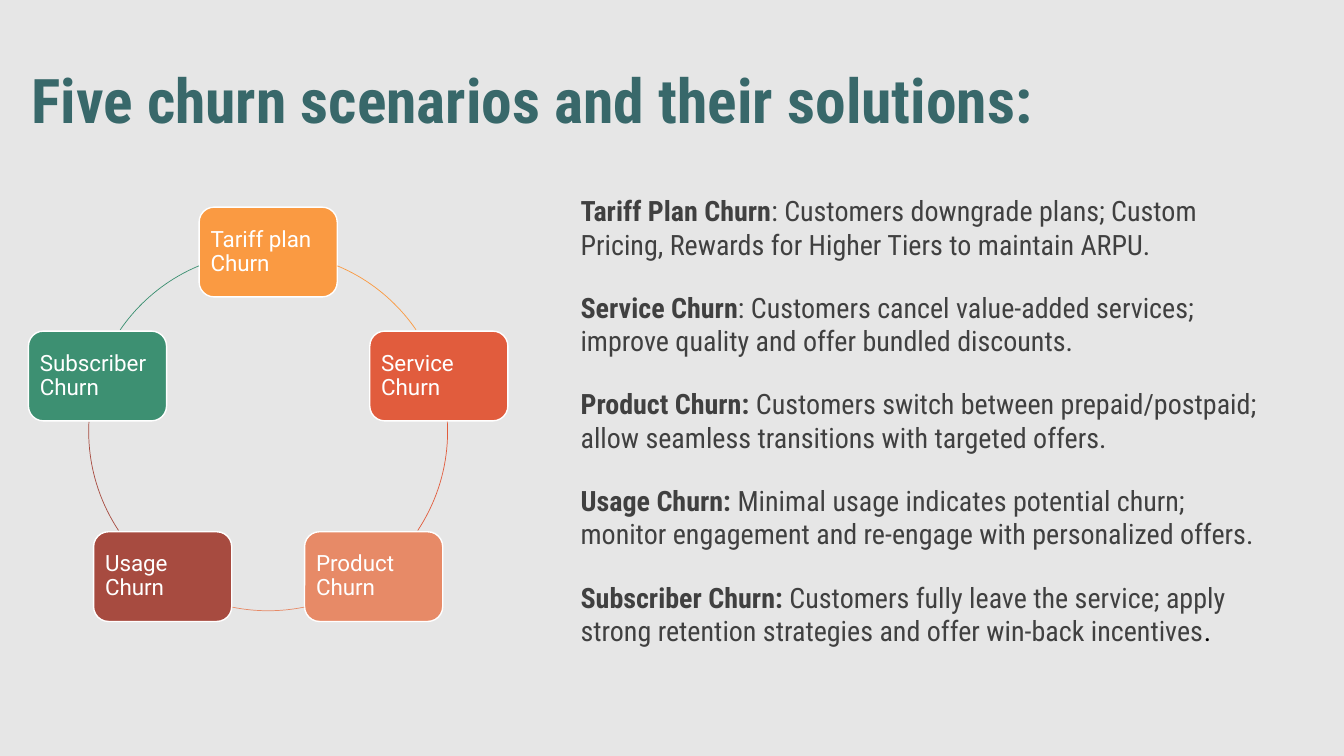
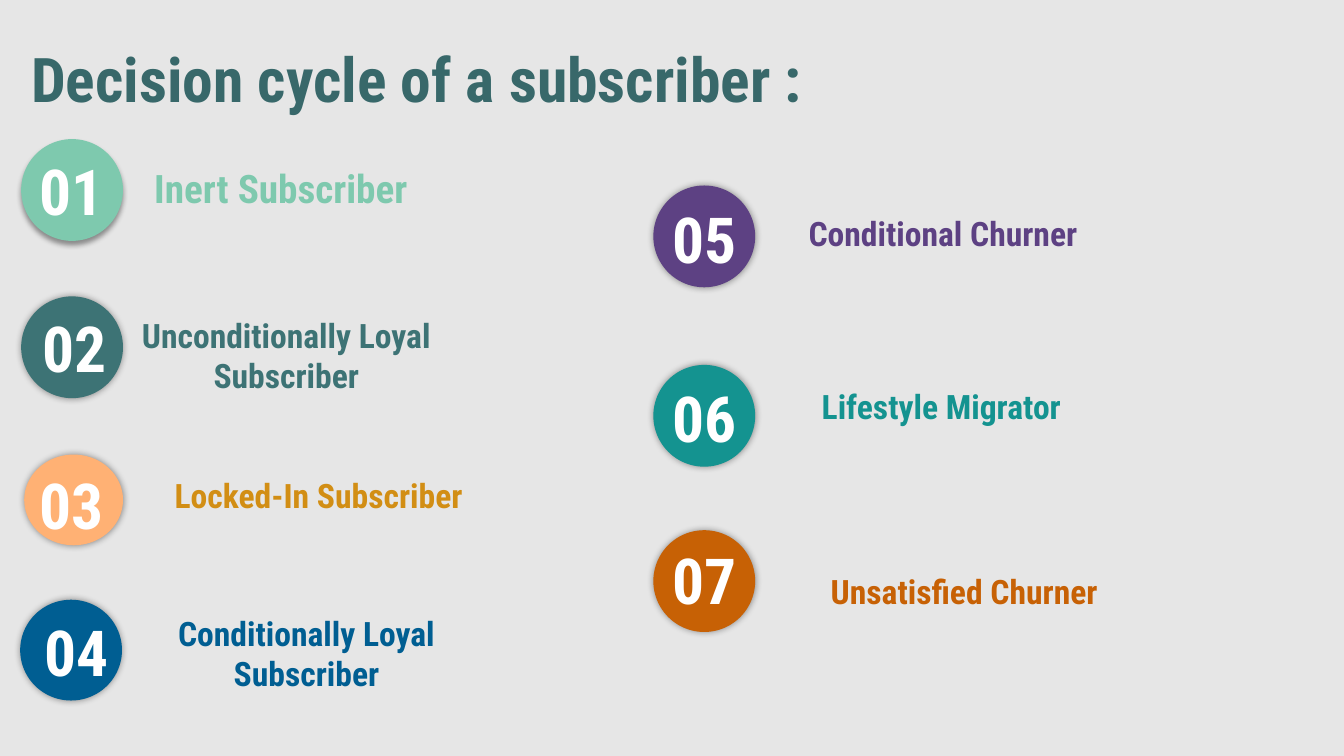
import math

from lxml import etree
from pptx import Presentation
from pptx.dml.color import RGBColor
from pptx.enum.shapes import MSO_SHAPE
from pptx.enum.text import MSO_ANCHOR, MSO_AUTO_SIZE, PP_ALIGN
from pptx.oxml.ns import qn
from pptx.util import Inches, Pt

ROUND, ARC, OVAL = MSO_SHAPE.ROUNDED_RECTANGLE, MSO_SHAPE.ARC, MSO_SHAPE.OVAL
LEFT, CENTER = PP_ALIGN.LEFT, PP_ALIGN.CENTER
MIDDLE, BOTTOM = MSO_ANCHOR.MIDDLE, MSO_ANCHOR.BOTTOM
FIXED = MSO_AUTO_SIZE.NONE

PAPER = RGBColor(0xE6, 0xE6, 0xE6)
WHITE = RGBColor(0xFF, 0xFF, 0xFF)
BLACK = RGBColor(0x00, 0x00, 0x00)
GRAY = RGBColor(0x40, 0x40, 0x40)
PINE = RGBColor(0x38, 0x68, 0x6A)
ORANGE = RGBColor(0xFA, 0x9A, 0x42)
RED = RGBColor(0xE1, 0x5C, 0x3D)
SALMON = RGBColor(0xE7, 0x8A, 0x67)
BRICK = RGBColor(0xA7, 0x4B, 0x40)
GREEN = RGBColor(0x3D, 0x90, 0x72)
MINT = RGBColor(0x7E, 0xC9, 0xAE)
SLATE = RGBColor(0x3D, 0x73, 0x75)
PEACH = RGBColor(0xFF, 0xB1, 0x74)
GOLD = RGBColor(0xD2, 0x8E, 0x14)
BLUE = RGBColor(0x00, 0x5E, 0x92)
PURPLE = RGBColor(0x5D, 0x41, 0x83)
TEAL = RGBColor(0x14, 0x93, 0x90)
RUST = RGBColor(0xC7, 0x61, 0x05)

BODY, HEAD = "Roboto", "Roboto Condensed"

prs = Presentation()
prs.slide_width, prs.slide_height = Inches(13.33), Inches(7.5)
paper = prs.slide_master.background.fill
paper.solid()
paper.fore_color.rgb = PAPER


def style(para, size, color, name=HEAD, bold=True, align=LEFT):
    """Align a paragraph and format all its runs."""
    para.alignment = align
    for run in para.runs:
        font = run.font
        font.name, font.size, font.bold = name, Pt(size), bold
        font.color.rgb = color


def write(slide, left, top, width, height, text, size, color, align):
    """Add a text box of bold headline text."""
    box = slide.shapes.add_textbox(
        Inches(left), Inches(top), Inches(width), Inches(height))
    frame = box.text_frame
    frame.word_wrap = True
    frame.margin_left = frame.margin_right = Inches(0.13)
    frame.margin_top = frame.margin_bottom = Inches(0.13)
    frame.text = text
    for para in frame.paragraphs:
        style(para, size, color, align=align)


# Titles
slides = []
for text, top in [("Five churn scenarios and their solutions:", 0.5),
                  ("Decision cycle of a subscriber :", 0.29)]:
    slide = prs.slides.add_slide(prs.slide_layouts[5])
    title = slide.shapes.title
    title.left, title.top = Inches(0.21), Inches(top)
    title.width, title.height = Inches(10.26), Inches(0.91)
    frame = title.text_frame
    frame.text = text
    frame.auto_size = FIXED
    frame.vertical_anchor = BOTTOM
    frame.paragraphs[0].line_spacing = 0.9
    style(frame.paragraphs[0], 44, PINE)
    slides.append(slide)
churn, cycle = slides

# Ring of scenarios: each node is followed by an arc, in degrees
MID_X, MID_Y, RADIUS = 2.66, 4.28, 1.78
NODE_W, NODE_H = 1.37, 0.89
nodes = [
    ("Tariff plan Churn", ORANGE, 292.7, 325.5),
    ("Service Churn", RED, 356.9, 33.5),
    ("Product Churn", SALMON, 78.4, 101.6),
    ("Usage Churn", BRICK, 146.5, 183.1),
    ("Subscriber Churn", GREEN, 214.5, 247.3),
]
for i, (text, color, start, end) in enumerate(nodes):
    angle = math.radians(72 * i - 90)
    mid_x = MID_X + RADIUS * math.cos(angle)
    mid_y = MID_Y + RADIUS * math.sin(angle)
    node = churn.shapes.add_shape(
        ROUND, Inches(mid_x - NODE_W / 2), Inches(mid_y - NODE_H / 2),
        Inches(NODE_W), Inches(NODE_H))
    node.shadow.inherit = False
    node.fill.solid()
    node.fill.fore_color.rgb = color
    node.line.color.rgb = WHITE
    node.line.width = Pt(1)
    frame = node.text_frame
    frame.word_wrap = True
    frame.vertical_anchor = MIDDLE
    frame.margin_left = frame.margin_right = Inches(0.07)
    frame.margin_top = frame.margin_bottom = Inches(0.07)
    frame.text = text
    frame.paragraphs[0].line_spacing = 0.9
    style(frame.paragraphs[0], 16, WHITE, BODY, False)

    arc = churn.shapes.add_shape(
        ARC, Inches(MID_X - RADIUS), Inches(MID_Y - RADIUS),
        Inches(2 * RADIUS), Inches(2 * RADIUS))
    arc.shadow.inherit = False
    arc.fill.background()
    arc.line.color.rgb = color
    arc.line.width = Pt(0.5)
    # An adjustment of 0.6 is one degree
    arc.adjustments[0] = start * 0.6
    arc.adjustments[1] = end * 0.6

# Solutions
notes = [
    ("Tariff Plan Churn", ": Customers downgrade plans; Custom Pricing, "
     "Rewards for Higher Tiers to maintain ARPU."),
    ("Service Churn", ": Customers cancel value-added services; "
     "improve quality and offer bundled discounts."),
    ("Product Churn: ", "Customers switch between prepaid/postpaid; "
     "allow seamless transitions with targeted offers."),
    ("Usage Churn: ", "Minimal usage indicates potential churn; "
     "monitor engagement and re-engage with personalized offers."),
    ("Subscriber Churn: ", "Customers fully leave the service; apply strong "
     "retention strategies and offer win-back incentives", "."),
]
box = churn.shapes.add_textbox(
    Inches(5.66), Inches(1.87), Inches(7.08), Inches(4.81))
frame = box.text_frame
frame.word_wrap = True
for i, parts in enumerate(notes):
    para = frame.add_paragraph() if i else frame.paragraphs[0]
    if i:
        para.space_before = Pt(21)
    for part in parts:
        para.add_run().text = part
    style(para, 20, GRAY, bold=False)
    para.runs[0].font.bold = True
para.runs[-1].font.color.rgb = BLACK

# Numbered circles: box, fill, shadow (blur, distance), number's corner
discs = [
    (0.21, 1.38, 1.01, 1.01, MINT, 4, 3, 0.08, 1.38),
    (0.21, 2.94, 1.01, 1.01, SLATE, 5, 0, 0.11, 2.94),
    (0.24, 4.51, 0.98, 0.9, PEACH, 5, 0, 0.08, 4.49),
    (0.2, 5.95, 1.01, 1, BLUE, 5, 0, 0.13, 5.95),
    (6.48, 1.84, 1.01, 1.01, PURPLE, 5, 0, 6.36, 1.86),
    (6.48, 3.62, 1.01, 1.01, TEAL, 5, 0, 6.36, 3.63),
    (6.48, 5.26, 1.01, 1.01, RUST, 5, 0, 6.36, 5.24),
]
for i, (left, top, width, height, color, blur, dist, num_x, num_y) in enumerate(
        discs, 1):
    disc = cycle.shapes.add_shape(
        OVAL, Inches(left), Inches(top), Inches(width), Inches(height))
    disc.fill.solid()
    disc.fill.fore_color.rgb = color
    disc.line.fill.background()
    disc.shadow.inherit = False
    effects = disc.element.spPr.find(qn("a:effectLst"))
    shadow = etree.SubElement(
        effects, qn("a:outerShdw"), blurRad=str(Pt(blur)), dist=str(Pt(dist)),
        dir="5400000", algn="ctr", rotWithShape="0")
    black = etree.SubElement(shadow, qn("a:srgbClr"), val="000000")
    etree.SubElement(black, qn("a:alpha"), val="40000")
    write(cycle, num_x, num_y, 1.25, 0.64, f"{i:02}", 45.3, WHITE, CENTER)

# Subscriber types
labels = [
    (1.4, 1.5, 3.23, "Inert Subscriber", 28, MINT, LEFT),
    (0.48, 2.99, 4.72, "Unconditionally Loyal\nSubscriber", 24, SLATE, CENTER),
    (1.17, 4.58, 3.98, "Locked-In Subscriber", 24, GOLD, CENTER),
    (0.84, 5.95, 4.4, "Conditionally Loyal\nSubscriber", 24, BLUE, CENTER),
    (7.89, 1.98, 3.23, "Conditional Churner", 24, PURPLE, LEFT),
    (8.02, 3.7, 3.23, "Lifestyle Migrator", 24, TEAL, LEFT),
    (8.11, 5.53, 3.23, "Unsatisfied Churner", 24, RUST, LEFT),
]
for left, top, width, text, size, color, align in labels:
    write(cycle, left, top, width, 0.57, text, size, color, align)

prs.save("out.pptx")
